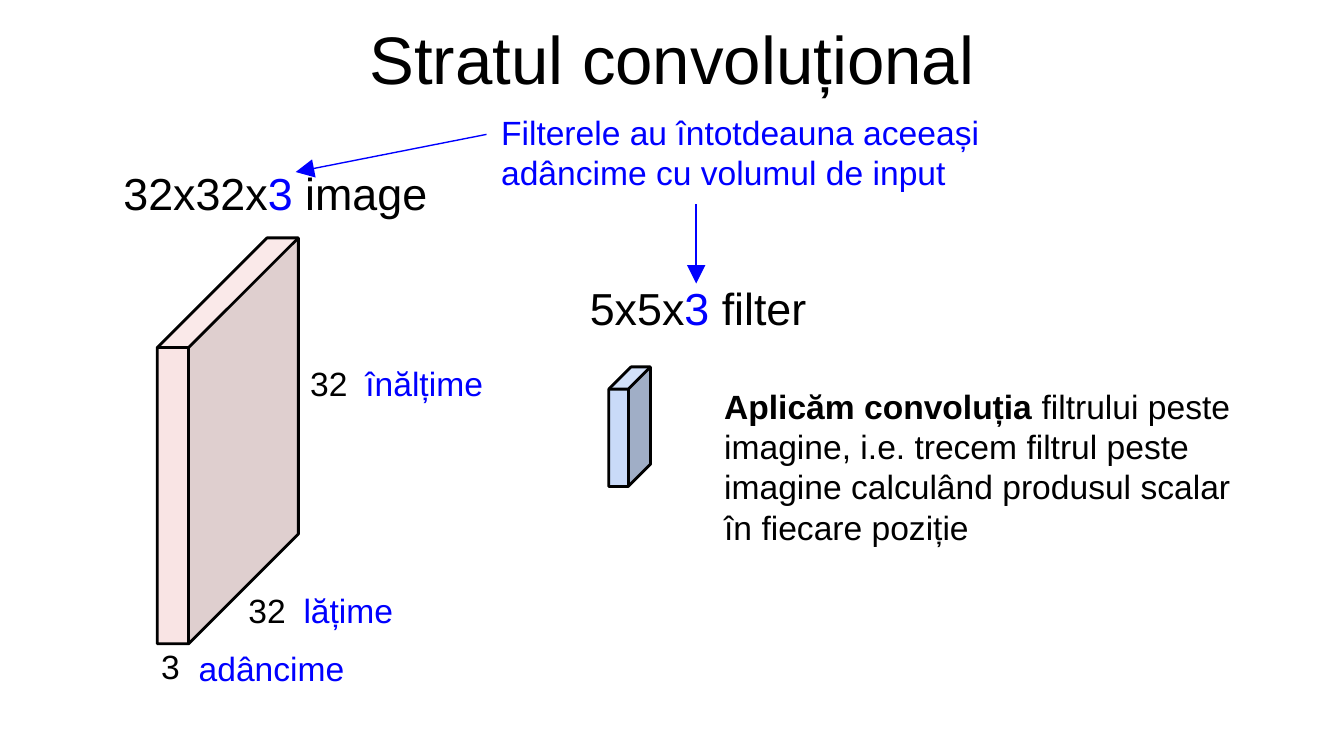
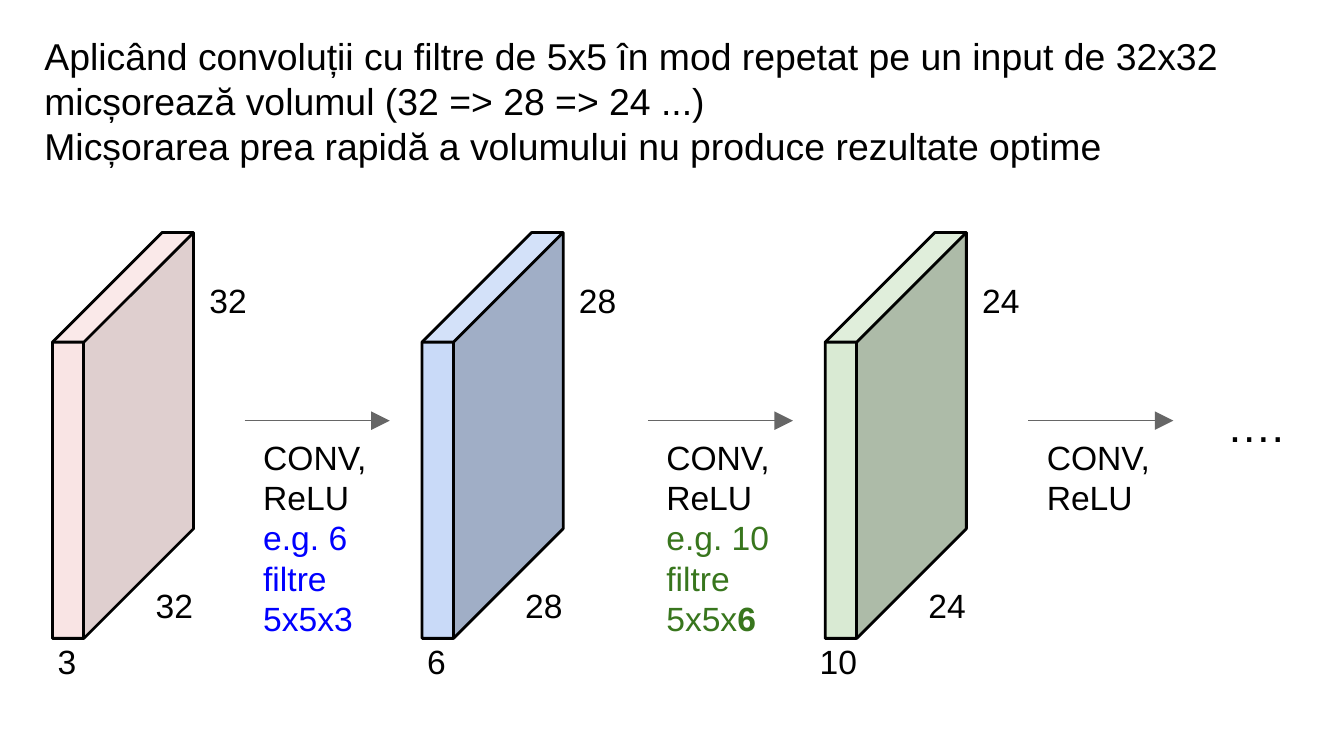
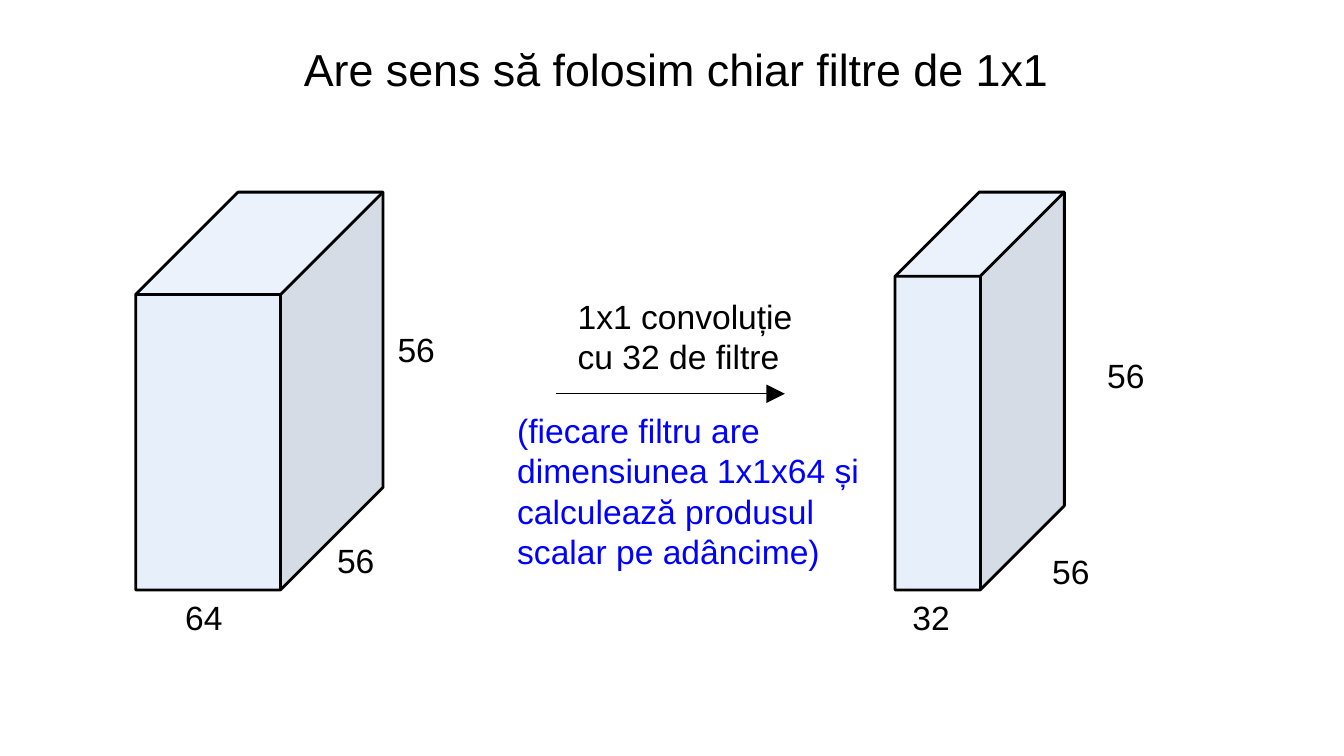
from lxml import etree
from pptx import Presentation
from pptx.dml.color import RGBColor
from pptx.enum.shapes import MSO_CONNECTOR, MSO_SHAPE
from pptx.enum.text import MSO_ANCHOR, MSO_AUTO_SIZE, PP_ALIGN
from pptx.oxml.ns import qn
from pptx.util import Emu, Pt

STRAIGHT = MSO_CONNECTOR.STRAIGHT
CUBE = MSO_SHAPE.CUBE
TOP = MSO_ANCHOR.TOP
NO_FIT = MSO_AUTO_SIZE.NONE
LEFT, CENTER = PP_ALIGN.LEFT, PP_ALIGN.CENTER

PX = 9144
SLIDE_SIZE = (1000, 562.5)
INSET = 10
FONT = "Arial"
TITLE_ONLY = 5
COLORS = {
    "black": "000000",
    "blue": "0000FF",
    "green": "38761D",
    "gray": "666666",
    "pink fill": "F4CCCC",
    "blue fill": "C9DAF8",
    "green fill": "D9EAD3",
}

LAYER = {
    "title": ("Stratul convoluțional", (0, 3, 1000, 72), {"size": 36, "align": CENTER}),
    "cubes": [
        ((117, 177, 105, 302), 0.777, "pink fill", 52),
        ((453, 273, 31, 89), 0.534, "blue fill", 100),
    ],
    "arrows": [((518, 152), (518, 211), "blue"), ((362, 100), (220, 128), "blue")],
    "texts": [
        ("32", (175, 429, 54, 34), {}),
        ("32", (221, 260, 54, 31), {}),
        ("3", (110, 471, 54, 20), {}),
        ("lățime", (216, 432, 221, 14), {"color": "blue"}),
        ("înălțime", (262, 263, 221, 14), {"color": "blue"}),
        ("adâncime", (138, 475, 482, 14), {"color": "blue"}),
        ([["5x5x", ("3", "blue"), " filter"]], (429, 199, 231, 39), {"size": 24}),
        ([["32x32x", ("3", "blue"), " image"]], (82, 113, 366, 52), {"size": 24}),
        ([[("Aplicăm convoluția ", "black", True),
           "filtrului peste imagine, i.e. trecem filtrul peste imagine "
           "calculând produsul scalar în fiecare poziție"]], (529, 277, 410, 141), {}),
        ("Filterele au întotdeauna aceeași adâncime cu volumul de input",
         (363, 73, 419, 79), {"color": "blue"}),
    ],
}

SHRINKING_TITLE = (
    [["Aplicând convoluții cu filtre de 5x5 în mod repetat pe un input de 32x32 "
      "micșorează volumul (32 => 28 => 24 ...)"],
     ["Micșorarea prea rapidă a volumului nu produce rezultate optime"]],
    (23, 15, 935, 142), {"size": 20, "align": LEFT})
VOLUMES = [
    (39, "32", "3", -6, "pink fill", 52),
    (314, "28", "6", -6, "blue fill", 100),
    (614, "24", "10", -14, "green fill", 100),
]
STEPS = [
    (182, 108, [[("e.g. 6 filtre 5x5x3", "blue")]]),
    (482, 116, [[("e.g. 10 filtre 5x5x", "green"), ("6", "green", True)]]),
    (765, 108, []),
]

ONE_BY_ONE = {
    "title": ("Are sens să folosim chiar filtre de 1x1", (38, 21, 930, 104),
              {"size": 24, "align": CENTER}),
    "cubes": [
        ((101, 143, 184, 296), 0.414, "blue fill", 43),
        ((666, 143, 126, 296), 0.497, "blue fill", 43),
    ],
    "arrows": [((414, 293), (584, 293), "black")],
    "texts": [
        ("64", (128, 434, 53, 38), {}),
        ("56", (241, 392, 53, 38), {}),
        ("56", (286, 235, 53, 38), {}),
        ("32", (669, 434, 53, 38), {}),
        ("56", (773, 400, 53, 38), {}),
        ("56", (814, 254, 53, 38), {}),
        ([["1x1 convoluție"], ["cu 32 de filtre"]], (420, 210, 195, 47), {}),
        ("(fiecare filtru are dimensiunea 1x1x64 și calculează produsul scalar pe adâncime)",
         (375, 295, 312, 67), {"color": "blue"}),
    ],
}


def shrinking_content():
    content = {"title": SHRINKING_TITLE, "cubes": [], "arrows": [],
               "texts": [("….", (903, 286, 105, 39), {"size": 24})]}
    for left, side, depth, depth_shift, fill, opacity in VOLUMES:
        content["cubes"].append(((left, 173, 105, 302), 0.777, fill, opacity))
        content["texts"] += [
            (side, (left + 67, 425, 54, 34), {}),
            (side, (left + 107, 198, 54, 31), {}),
            (depth, (left + depth_shift, 467, 54, 20), {}),
        ]
    for left, width, filters in STEPS:
        content["arrows"].append(((left, 313), (left + 108, 313), "gray"))
        content["texts"].append(
            ([["CONV,"], ["ReLU"]] + filters, (left + 4, 315, width, 43), {}))
    return content


def rgb(name):
    return RGBColor.from_string(COLORS[name])


def scaled(lengths):
    return [Emu(int(length * PX)) for length in lengths]


def write_text(box, text, size=18, color="black", align=LEFT):
    frame = box.text_frame
    frame.word_wrap = True
    frame.auto_size = NO_FIT
    frame.vertical_anchor = TOP
    frame.margin_left = frame.margin_right = Emu(INSET * PX)
    frame.margin_top = frame.margin_bottom = Emu(INSET * PX)
    paragraphs = [[text]] if isinstance(text, str) else text
    for index, spans in enumerate(paragraphs):
        para = frame.add_paragraph() if index else frame.paragraphs[0]
        para.alignment = align
        for item in spans:
            words, tint, bold = ((item, color) if isinstance(item, str) else item + (False,))[:3] \
                if not isinstance(item, str) else (item, color, False)
            span = para.add_run()
            span.text = words
            span.font.name = FONT
            span.font.size = Pt(size)
            span.font.bold = bold
            span.font.color.rgb = rgb(tint)


def add_cube(page, place, depth, fill, opacity):
    cube = page.shapes.add_shape(CUBE, *scaled(place))
    cube.shadow.inherit = False
    cube.adjustments[0] = depth
    cube.fill.solid()
    cube.fill.fore_color.rgb = rgb(fill)
    cube.line.color.rgb = rgb("black")
    cube.line.width = Pt(1.5)
    if opacity < 100:
        tint = cube.fill._xPr.find(".//" + qn("a:srgbClr"))
        etree.SubElement(tint, qn("a:alpha"), val=str(opacity * 1000))


def add_arrow(page, start, end, color):
    arrow = page.shapes.add_connector(STRAIGHT, *scaled(start + end))
    arrow.line.color.rgb = rgb(color)
    arrow.line.width = Pt(0.75)
    line = arrow.line._get_or_add_ln()
    etree.SubElement(line, qn("a:tailEnd"), type="triangle", w="lg", len="lg")
    etree.SubElement(arrow._element.spPr, qn("a:effectLst"))


def build_page(deck, content):
    page = deck.slides.add_slide(deck.slide_layouts[TITLE_ONLY])
    text, place, style = content["title"]
    title = page.shapes.title
    title.left, title.top, title.width, title.height = scaled(place)
    write_text(title, text, **style)
    for cube in content["cubes"]:
        add_cube(page, *cube)
    for arrow in content["arrows"]:
        add_arrow(page, *arrow)
    for text, place, style in content["texts"]:
        write_text(page.shapes.add_textbox(*scaled(place)), text, **style)


def main():
    deck = Presentation()
    deck.slide_width, deck.slide_height = scaled(SLIDE_SIZE)
    for content in (LAYER, shrinking_content(), ONE_BY_ONE):
        build_page(deck, content)
    deck.save("out.pptx")


if __name__ == "__main__":
    main()
